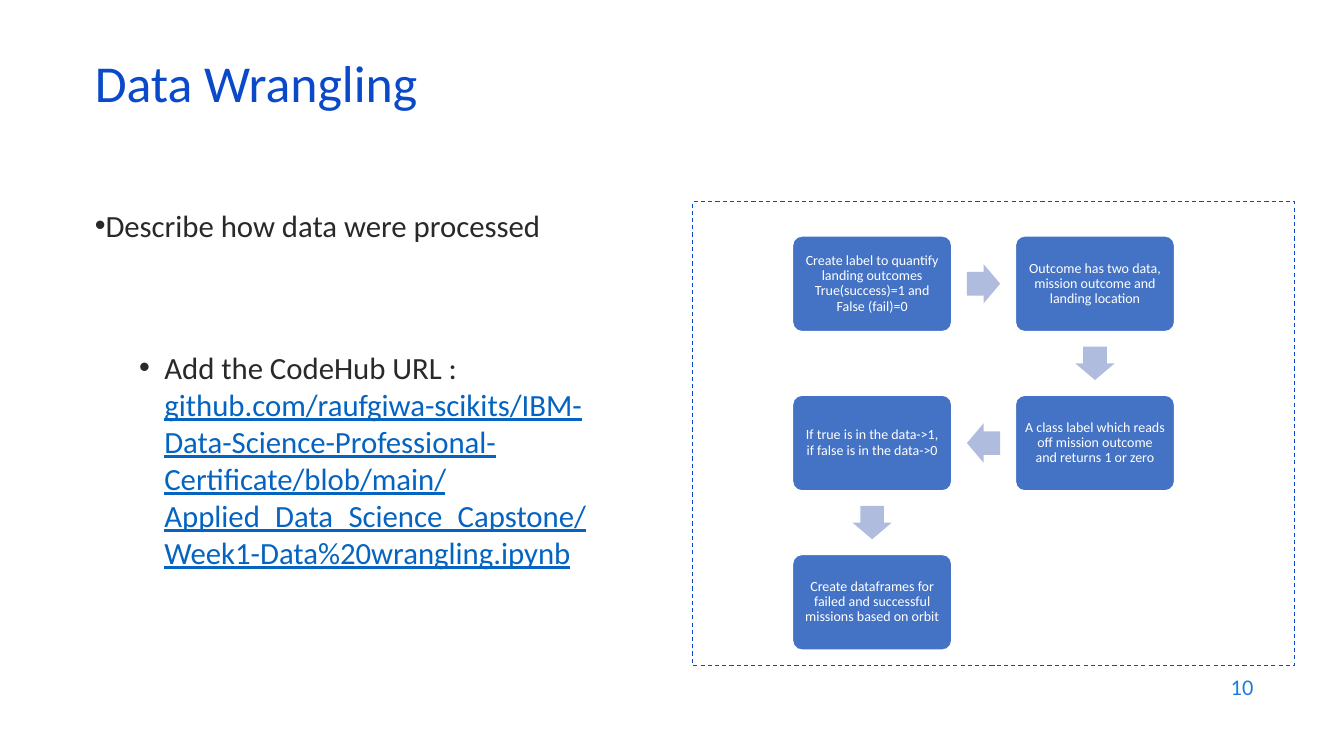
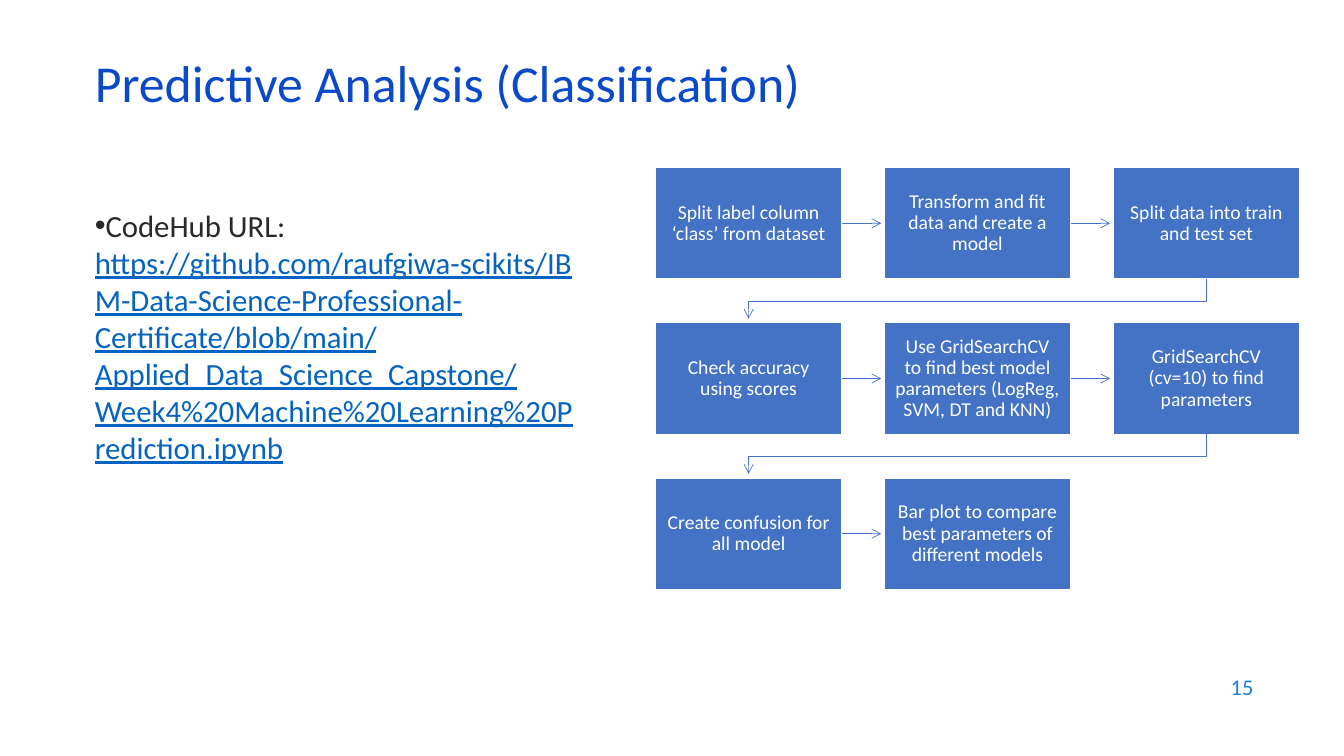
import math
import pptx
import pptx.util
import pptx.dml.color
import pptx.enum.dml
import pptx.enum.shapes
import pptx.enum.text
import pptx.oxml.ns
from lxml import etree

Inches = pptx.util.Inches
Pt = pptx.util.Pt
MSO_SHAPE = pptx.enum.shapes.MSO_SHAPE
PP_ALIGN = pptx.enum.text.PP_ALIGN
MSO_ANCHOR = pptx.enum.text.MSO_ANCHOR

FONT = "Calibri"
TITLE, BODY, LINK, NUMBER = "0B49CB", "292929", "0563C1", "1C7DDB"
BOX, ARROW, WHITE = "4472C4", "B0BCDE", "FFFFFF"


def color(value):
    """Turn a hex string into a colour."""
    return pptx.dml.color.RGBColor.from_string(value)


def sub(parent, tag, **attrs):
    """Append a DrawingML element."""
    return etree.SubElement(parent, pptx.oxml.ns.qn(tag), **attrs)


def add_run(p, text, size=22, fill=BODY, underline=None):
    """Add a formatted run to a paragraph."""
    r = p.add_run()
    r.text = text
    r.font.name = FONT
    r.font.size = Pt(size)
    r.font.underline = underline
    r.font.color.rgb = color(fill)


def format_frame(tf, anchor=MSO_ANCHOR.TOP, align=PP_ALIGN.LEFT, spacing=1.0):
    """Set up a text frame and return its first paragraph."""
    tf.word_wrap = True
    tf.auto_size = pptx.enum.text.MSO_AUTO_SIZE.NONE
    tf.vertical_anchor = anchor
    p = tf.paragraphs[0]
    p.alignment = align
    p.line_spacing = spacing
    p.space_before = Pt(0)
    return p


def place(sp, left, top, width, height):
    """Move and size a shape in inches."""
    sp.left, sp.top = Inches(left), Inches(top)
    sp.width, sp.height = Inches(width), Inches(height)


def add_slide(prs, layout, title, number):
    """Add a slide with its title and page number."""
    s = prs.slides.add_slide(prs.slide_layouts[layout])
    place(s.shapes.title, 0.84, 0.59, 11.5, 0.6)
    p = format_frame(s.shapes.title.text_frame, MSO_ANCHOR.MIDDLE, spacing=0.7)
    add_run(p, title, size=37, fill=TITLE)
    sp = s.shapes.add_textbox(Inches(9.53), Inches(6.59), Inches(3), Inches(0.44))
    p = format_frame(sp.text_frame, MSO_ANCHOR.MIDDLE, PP_ALIGN.RIGHT)
    add_run(p, str(number), size=16, fill=NUMBER)
    return s


def fill_bullet(sp, box, text, link=None, indent=0):
    """Fill a body placeholder with one bullet and an optional address."""
    place(sp, *box)
    p = format_frame(sp.text_frame)
    pPr = p._p.get_or_add_pPr()
    pPr.set("marL", str(Inches(indent)))
    pPr.set("indent", str(-Inches(indent)))
    sub(pPr, "a:buFont", typeface="Arial")
    sub(pPr, "a:buChar", char="•")
    add_run(p, text)
    if link:
        add_run(p, link, fill=LINK, underline=True)


def add_plain(s, kind, box, fill=None):
    """Add a shape with a flat fill and no outline."""
    sp = s.shapes.add_shape(kind, *map(Inches, box))
    sp.shadow.inherit = False
    sp.line.fill.background()
    if fill:
        sp.fill.solid()
        sp.fill.fore_color.rgb = color(fill)
    else:
        sp.fill.background()
    return sp


def add_step(s, kind, box, text, size, inset):
    """Add one labelled step of a flow."""
    sp = add_plain(s, kind, box, BOX)
    sp.line.color.rgb = color(WHITE)
    sp.line.width = Pt(1)
    tf = sp.text_frame
    tf.margin_left = tf.margin_right = tf.margin_top = tf.margin_bottom = Inches(inset)
    p = format_frame(tf, MSO_ANCHOR.MIDDLE, PP_ALIGN.CENTER, 0.9)
    add_run(p, text, size=size, fill=WHITE)
    return sp


def add_block_flow(s, left, top, steps):
    """Draw a winding two-column flow with block arrows in a dashed frame."""
    frame = add_plain(s, MSO_SHAPE.RECTANGLE, (left, top, 5.97, 4.6))
    frame.line.color.rgb = color(TITLE)
    frame.line.width = Pt(0.75)
    frame.line.dash_style = pptx.enum.dml.MSO_LINE.DASH
    width, height, arrow_w, arrow_h = 1.58, 0.95, 0.33, 0.39
    previous = None
    for i, text in enumerate(steps):
        row, col = divmod(i, 2)
        if row % 2:
            col = 1 - col
        x, y = left + 0.99 + 2.21 * col, top + 0.34 + 1.58 * row
        sp = add_step(s, MSO_SHAPE.ROUNDED_RECTANGLE, (x, y, width, height), text, 10, 0.07)
        sp.adjustments[0] = 0.1
        center = x + width / 2, y + height / 2
        if previous:
            mid_x, mid_y = ((a + b) / 2 for a, b in zip(previous, center))
            box = mid_x - arrow_w / 2, mid_y - arrow_h / 2, arrow_w, arrow_h
            arrow = add_plain(s, MSO_SHAPE.RIGHT_ARROW, box, ARROW)
            arrow.adjustments[0] = 0.6
            arrow.rotation = math.degrees(
                math.atan2(center[1] - previous[1], center[0] - previous[0]))
        previous = center


def style_arrow(line):
    """Give a line the thin blue style with an open arrowhead."""
    line.color.rgb = color(BOX)
    line.width = Pt(0.5)
    sub(line._get_or_add_ln(), "a:tailEnd", type="arrow")


def link_steps(s, start, end):
    """Join two steps, in a row or across to the next row."""
    if start.top == end.top:
        y = start.top + start.height // 2
        cn = s.shapes.add_connector(
            pptx.enum.shapes.MSO_CONNECTOR.STRAIGHT,
            start.left + start.width, y, end.left - Inches(0.03), y)
        cn.begin_connect(start, 3)
        style_arrow(cn.line)
        sub(cn._element.spPr, "a:effectLst")
        return
    x1, x2 = (sp.left + sp.width // 2 for sp in (start, end))
    bottom = start.top + start.height
    turn = (bottom + end.top) // 2
    fb = s.shapes.build_freeform(x1, bottom)
    fb.add_line_segments(
        [(x1, turn), (x2, turn), (x2, end.top - Inches(0.04))], close=False)
    sp = fb.convert_to_shape()
    sp.shadow.inherit = False
    sp.fill.background()
    style_arrow(sp.line)


def add_line_flow(s, left, top, steps):
    """Draw a three-column flow read row by row and joined by thin arrows."""
    boxes = []
    for i, text in enumerate(steps):
        row, col = divmod(i, 3)
        box = left + 2.27 * col, top + 1.54 * row, 1.85, 1.11
        boxes.append(add_step(s, MSO_SHAPE.RECTANGLE, box, text, 14, 0.11))
    for start, end in zip(boxes, boxes[1:]):
        link_steps(s, start, end)


def build_wrangling(prs):
    """Build the data wrangling slide."""
    s = add_slide(prs, 3, "Data Wrangling", 10)
    fill_bullet(s.placeholders[1], (0.84, 2, 5.03, 0.67), "Describe how data were processed")
    fill_bullet(
        s.placeholders[2], (1.28, 3.41, 4.97, 4.17), "Add the CodeHub URL : ",
        "github.com/raufgiwa-scikits/IBM-Data-Science-Professional-Certificate/blob/main/"
        "Applied_Data_Science_Capstone/Week1-Data%20wrangling.ipynb", indent=0.25)
    add_block_flow(s, 6.87, 2, [
        "Create label to quantify landing outcomes True(success)=1 and False (fail)=0",
        "Outcome has two data, mission outcome and landing location",
        "A class label which reads off mission outcome and returns 1 or zero",
        "If true is in the data->1, if false is in the data->0",
        "Create dataframes for failed and successful missions based on orbit",
    ])


def build_prediction(prs):
    """Build the predictive analysis slide."""
    s = add_slide(prs, 1, "Predictive Analysis (Classification)", 15)
    fill_bullet(
        s.placeholders[1], (0.84, 2, 5, 4.76), "CodeHub URL: ",
        "https://github.com/raufgiwa-scikits/IBM-Data-Science-Professional-Certificate/blob/main/"
        "Applied_Data_Science_Capstone/Week4%20Machine%20Learning%20Prediction.ipynb")
    add_line_flow(s, 6.5, 1.66, [
        "Split label column ‘class’ from dataset",
        "Transform and fit data and create a model",
        "Split data into train and test set",
        "Check accuracy using scores",
        "Use GridSearchCV to find best model parameters (LogReg, SVM, DT and KNN)",
        "GridSearchCV (cv=10) to find parameters",
        "Create confusion for all model",
        "Bar plot to compare best parameters of different models",
    ])


def main():
    """Build and save the presentation."""
    prs = pptx.Presentation()
    prs.slide_width, prs.slide_height = Inches(13.33), Inches(7.5)
    build_wrangling(prs)
    build_prediction(prs)
    prs.save("out.pptx")


if __name__ == "__main__":
    main()
